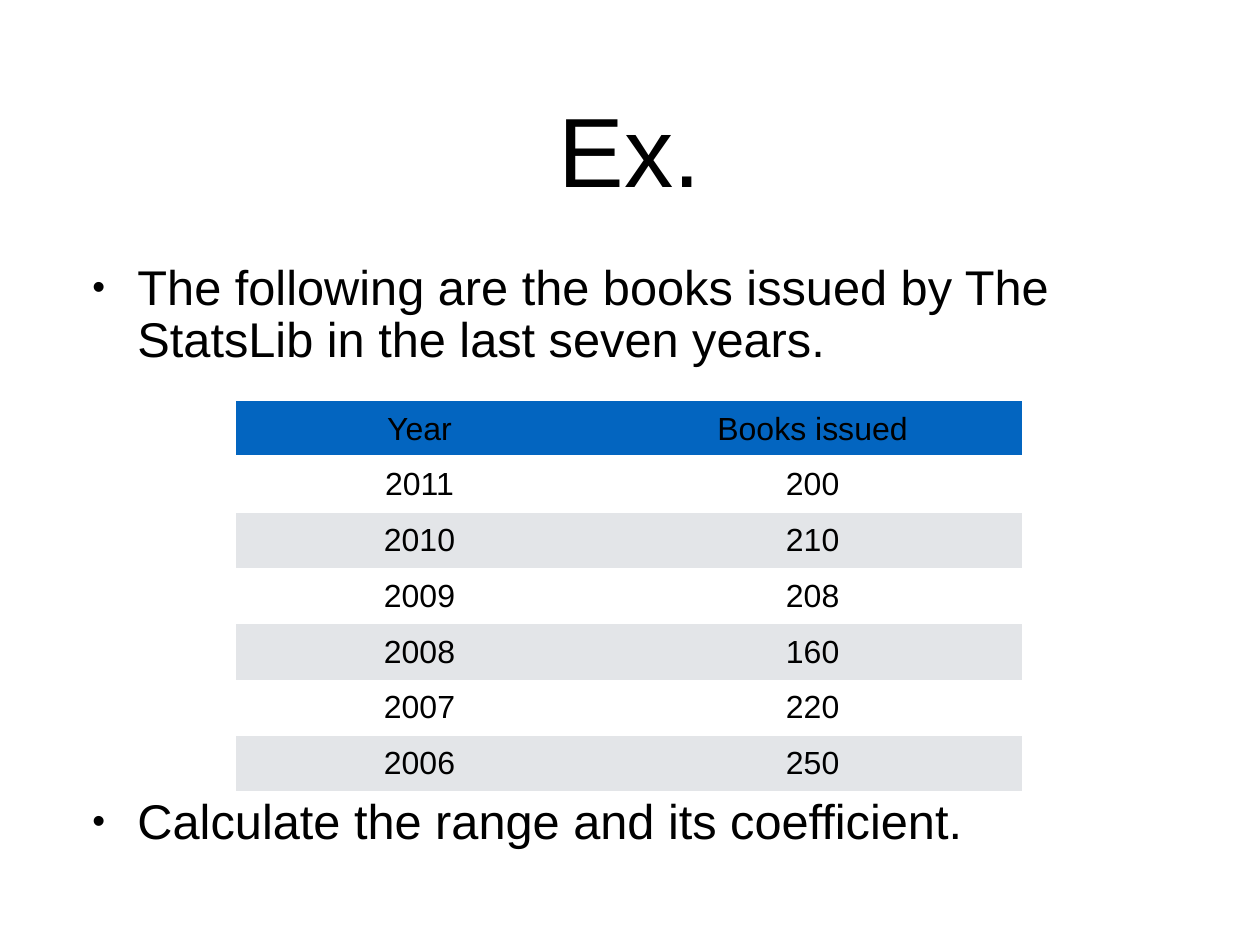
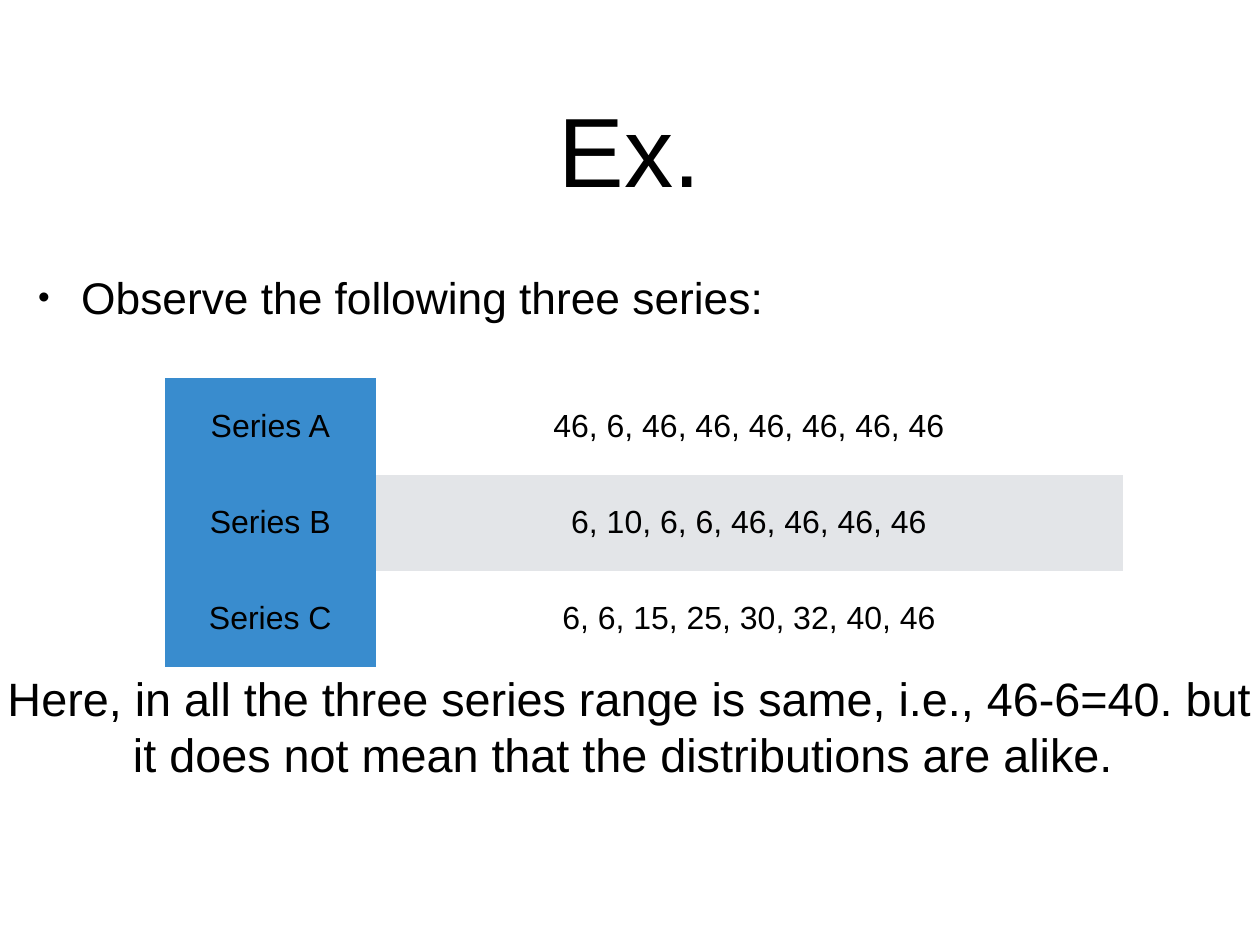
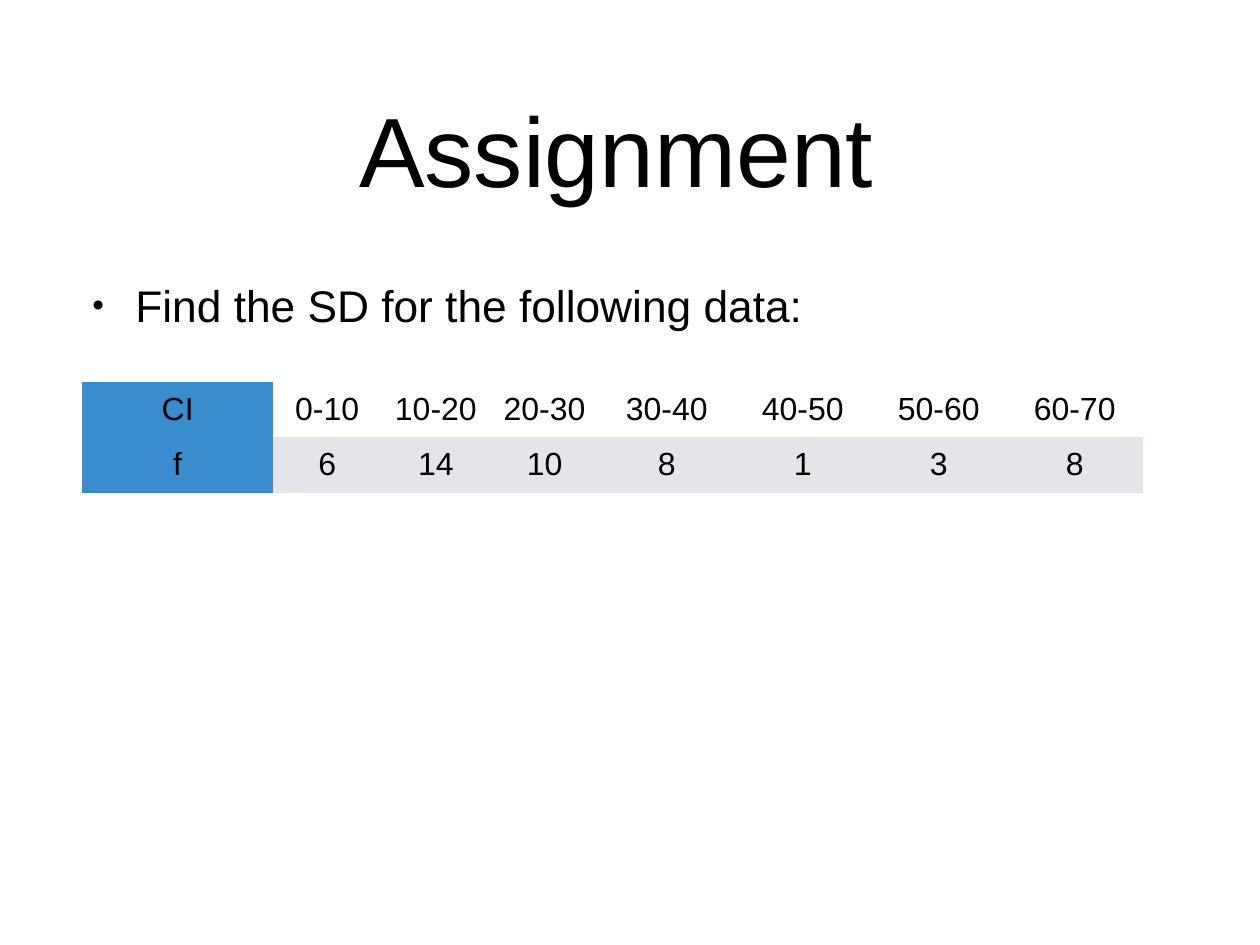
from pptx import Presentation
from pptx.dml.color import RGBColor
from pptx.enum.text import MSO_ANCHOR as ANCHOR, MSO_AUTO_SIZE as AUTOSIZE, PP_ALIGN as ALIGN
from pptx.oxml import parse_xml
from pptx.oxml.ns import nsdecls, qn
from pptx.util import Pt

# Shared style
BLACK = RGBColor(0x00, 0x00, 0x00)
WHITE = RGBColor(0xFF, 0xFF, 0xFF)
GREY = RGBColor(0xE3, 0xE5, 0xE8)
HEADER_BLUE = RGBColor(0x03, 0x65, 0xC0)
SIDE_BLUE = RGBColor(0x39, 0x8C, 0xCE)
FONT = "Arial"
PLAIN_TABLE = "{2D5ABB26-0587-4C30-8999-92F81FD0307C}"
CELL_MARGIN = 3.6


def write(frame, *texts, size, align=ALIGN.CENTER, margin=0, indent=0, line=1.0, gap=0):
    """Fill a text frame; a positive indent makes bulleted paragraphs, gap parts them."""
    frame.word_wrap = True
    frame.auto_size = AUTOSIZE.NONE
    frame.vertical_anchor = ANCHOR.MIDDLE
    frame.margin_left = frame.margin_right = Pt(margin)
    frame.margin_top = frame.margin_bottom = Pt(margin)
    for number, text in enumerate(texts):
        paragraph = frame.add_paragraph() if number else frame.paragraphs[0]
        paragraph.text = text
        paragraph.alignment = align
        paragraph.line_spacing = line
        paragraph.space_before = Pt(gap if number else 0)
        if indent:
            props = paragraph._p.get_or_add_pPr()
            props.set("marL", str(Pt(indent)))
            props.set("indent", str(-Pt(indent)))
            props.append(parse_xml(f'<a:buSzPct {nsdecls("a")} val="75000"/>'))
            props.append(parse_xml(f'<a:buChar {nsdecls("a")} char="•"/>'))
        font = paragraph.font
        font.name, font.size, font.color.rgb = FONT, Pt(size), BLACK


def place(shape, left, top, width, height):
    shape.left, shape.top = Pt(left), Pt(top)
    shape.width, shape.height = Pt(width), Pt(height)


# Content: a table has either a header row or a blue first column
lessons = [
    dict(
        title="Ex.",
        bullets=["The following are the books issued by The StatsLib in the last seven years.",
                 "Calculate the range and its coefficient."],
        bullet_format=dict(size=39.6, indent=36.7, line=0.9, gap=349),
        body_at=(75, 205),
        table_at=(192, 326),
        columns=[298, 341],
        row_height=45.3,
        header=True,
        rows=[["Year", "Books issued"], ["2011", "200"], ["2010", "210"], ["2009", "208"],
              ["2008", "160"], ["2007", "220"], ["2006", "250"]],
    ),
    dict(
        title="Ex.",
        bullets=["Observe the following three series:"],
        bullet_format=dict(size=36, indent=35),
        body_at=(31, -6),
        table_at=(134, 307.5),
        columns=[171.5, 607],
        row_height=78.2,
        header=False,
        rows=[["Series A", "46, 6, 46, 46, 46, 46, 46, 46"],
              ["Series B", "6, 10, 6, 6, 46, 46, 46, 46"],
              ["Series C", "6, 6, 15, 25, 30, 32, 40, 46"]],
        remark="Here, in all the three series range is same, i.e., 46-6=40. "
               "but it does not mean that the distributions are alike. ",
    ),
    dict(
        title="Assignment ",
        bullets=["Find the SD for the following data:"],
        bullet_format=dict(size=36, indent=35),
        body_at=(75, 0),
        table_at=(67, 310.3),
        columns=[154.8] + [88.3] * 3 + [110.5] * 4,
        row_height=45,
        header=False,
        rows=[["CI", "0-10", "10-20", "20-30", "30-40", "40-50", "50-60", "60-70"],
              ["f", "6", "14", "10", "8", "1", "3", "8"]],
    ),
]

deck = Presentation()
deck.slide_width, deck.slide_height = Pt(1024), Pt(768)
layout = deck.slide_layouts[1]
place(layout.placeholders[0], 75, 35, 874, 170)

for lesson in lessons:
    slide = deck.slides.add_slide(layout)

    # Title and bullets
    write(slide.shapes.title.text_frame, lesson["title"], size=80)
    body = slide.placeholders[1]
    place(body, *lesson["body_at"], 874, 495)
    write(body.text_frame, *lesson["bullets"], align=ALIGN.LEFT, **lesson["bullet_format"])

    # Data table
    rows, columns, header = lesson["rows"], lesson["columns"], lesson["header"]
    left, top = lesson["table_at"]
    data = slide.shapes.add_table(len(rows), len(columns), Pt(left), Pt(top), Pt(sum(columns)),
                                  Pt(lesson["row_height"] * len(rows))).table
    data._tbl.tblPr.find(qn("a:tableStyleId")).text = PLAIN_TABLE
    data.first_row, data.first_col, data.horz_banding = header, not header, False
    for column, width in zip(data.columns, columns):
        column.width = Pt(width)
    for r, values in enumerate(rows):
        data.rows[r].height = Pt(lesson["row_height"])
        for c, value in enumerate(values):
            cell = data.cell(r, c)
            write(cell.text_frame, value, size=26)
            cell.vertical_anchor = ANCHOR.MIDDLE
            cell.margin_left = cell.margin_right = Pt(CELL_MARGIN)
            cell.margin_top = cell.margin_bottom = Pt(CELL_MARGIN)
            cell.fill.solid()
            if header and r == 0:
                cell.fill.fore_color.rgb = HEADER_BLUE
                # White rule below the header
                cell._tc.get_or_add_tcPr().insert(0, parse_xml(
                    f'<a:lnB {nsdecls("a")} w="{Pt(3)}"><a:solidFill>'
                    f'<a:srgbClr val="{WHITE}"/></a:solidFill></a:lnB>'))
            elif not header and c == 0:
                cell.fill.fore_color.rgb = SIDE_BLUE
            else:
                cell.fill.fore_color.rgb = GREY if (r - header) % 2 else WHITE

    # Closing remark
    if "remark" in lesson:
        remark = slide.shapes.add_textbox(Pt(0), Pt(540), Pt(1024), Pt(100))
        write(remark.text_frame, lesson["remark"], size=38, margin=4)

deck.save("out.pptx")
